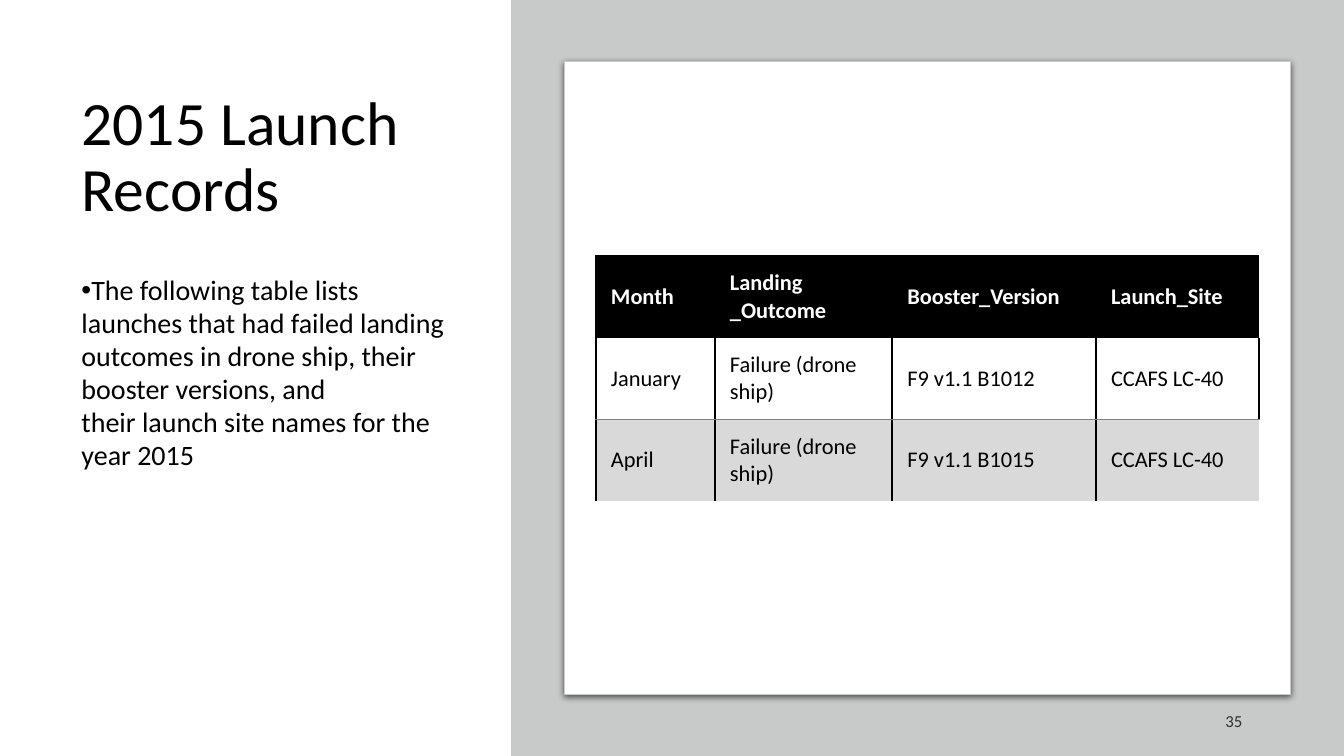
from dataclasses import dataclass

from lxml import etree
from pptx import Presentation
from pptx.dml.color import RGBColor
from pptx.enum.shapes import MSO_SHAPE
from pptx.enum.text import MSO_ANCHOR, PP_ALIGN
from pptx.oxml.ns import qn
from pptx.util import Inches, Pt

RECT, ROUND = MSO_SHAPE.RECTANGLE, MSO_SHAPE.ROUNDED_RECTANGLE
TOP, MIDDLE = MSO_ANCHOR.TOP, MSO_ANCHOR.MIDDLE
LEFT, RIGHT = PP_ALIGN.LEFT, PP_ALIGN.RIGHT
WIDE, HIGH = 13.33, 7.5


@dataclass(frozen=True)
class Theme:
    font: str = "Calibri"
    ink: str = "000000"
    paper: str = "FFFFFF"
    panel: str = "C8CACA"
    band: str = "D9D9D9"
    rule: str = "808080"
    number: str = "303030"
    title: int = 44
    body: int = 20
    cell: int = 16
    small: int = 12


THEME = Theme()
THICK, THIN = (THEME.ink, 1.5), (THEME.rule, 0.5)

COLUMNS = (1.18, 1.76, 2.02, 1.62)
ROW = 0.81
RECORDS = (
    ("Month", "Landing _Outcome", "Booster_Version", "Launch_Site"),
    ("January", "Failure (drone ship)", "F9 v1.1 B1012", "CCAFS LC-40"),
    ("April", "Failure (drone ship)", "F9 v1.1 B1015", "CCAFS LC-40"),
)
SUMMARY = ("The following table lists launches that had failed\u00a0landing "
           "outcomes in drone ship, their booster versions, and "
           "their\u00a0launch site names for the year 2015")


def style(para, size, color, bold=False):
    font = para.font
    font.name, font.size, font.bold = THEME.font, Pt(size), bold
    font.color.rgb = RGBColor.from_string(color)


def add_text(slide, box, text, size, color=THEME.ink, anchor=MIDDLE,
             align=LEFT, spacing=None, bullet=False):
    frame = slide.shapes.add_textbox(*map(Inches, box)).text_frame
    frame.word_wrap = True
    frame.vertical_anchor = anchor
    para = frame.paragraphs[0]
    para.text = text
    para.alignment = align
    if spacing:
        para.line_spacing = spacing
    if bullet:
        props = para._p.get_or_add_pPr()
        props.set("marL", "0")
        props.set("indent", "0")
        etree.SubElement(props, qn("a:buFont"), typeface="Arial")
        etree.SubElement(props, qn("a:buChar"), char="•")
    style(para, size, color)


def add_block(slide, kind, box, fill):
    block = slide.shapes.add_shape(kind, *map(Inches, box))
    block.shadow.inherit = False
    block.fill.solid()
    block.fill.fore_color.rgb = RGBColor.from_string(fill)
    block.line.fill.background()
    return block


def add_card(slide, box):
    card = add_block(slide, ROUND, box, THEME.paper)
    card.adjustments[0] = 0
    card.line.color.rgb = RGBColor.from_string(THEME.panel)
    card.line.width = Pt(0.75)
    effects = card._element.spPr.find(qn("a:effectLst"))
    shadow = etree.SubElement(
        effects, qn("a:outerShdw"), blurRad=str(Pt(4.5)), dist=str(Pt(1.5)),
        dir="5400000", algn="ctr", rotWithShape="0")
    color = etree.SubElement(shadow, qn("a:srgbClr"), val=THEME.ink)
    etree.SubElement(color, qn("a:alpha"), val="63000")


def set_edges(cell, edges):
    """Draw the left, right, top and bottom edges; None leaves one bare."""
    props = cell._tc.get_or_add_tcPr()
    for spot, (side, edge) in enumerate(zip("LRTB", edges)):
        line = etree.Element(qn(f"a:ln{side}"))
        props.insert(spot, line)
        if edge:
            color, width = edge
            line.set("w", str(Pt(width)))
            fill = etree.SubElement(line, qn("a:solidFill"))
            etree.SubElement(fill, qn("a:srgbClr"), val=color)
        else:
            etree.SubElement(line, qn("a:noFill"))


def add_records(slide, left, top):
    rows, cols = len(RECORDS), len(COLUMNS)
    box = (left, top, sum(COLUMNS), ROW * rows)
    table = slide.shapes.add_table(rows, cols, *map(Inches, box)).table
    table.horz_banding = False
    for col, width in zip(table.columns, COLUMNS):
        col.width = Inches(width)
    fills = (THEME.ink, None, THEME.band)
    tops = (THICK, None, THIN)
    lows = (None, THIN, None)
    for r, record in enumerate(RECORDS):
        table.rows[r].height = Inches(ROW)
        head = r == 0
        for c, text in enumerate(record):
            cell = table.cell(r, c)
            cell.text = text
            cell.vertical_anchor = MIDDLE
            cell.margin_left, cell.margin_right = Inches(0.15), Inches(0.09)
            cell.margin_top = cell.margin_bottom = Inches(0.11)
            style(cell.text_frame.paragraphs[0], THEME.cell,
                  THEME.paper if head else THEME.ink, head)
            if fills[r]:
                cell.fill.solid()
                cell.fill.fore_color.rgb = RGBColor.from_string(fills[r])
            else:
                cell.fill.background()
            bare = c == cols - 1 and r != 1
            set_edges(cell, (THICK, None if bare else THICK,
                             tops[r], lows[r]))


def add_intro(slide, left, top, width):
    add_text(slide, (left, top, width, 1.77), "2015 Launch Records",
             THEME.title, spacing=0.9)
    add_text(slide, (left, top + 1.98, width, 4.14), SUMMARY,
             THEME.body, anchor=TOP, spacing=0.98, bullet=True)


def add_panel(slide, left):
    add_block(slide, RECT, (left, 0, WIDE - left, HIGH), THEME.panel)
    add_card(slide, (left + 0.53, 0.61, 7.2, 6.28))
    add_text(slide, (left + 4.35, 6.95, 3, 0.4), "35", THEME.small,
             THEME.number, align=RIGHT)
    add_records(slide, left + 0.84, 2.54)


def main():
    deck = Presentation()
    deck.slide_width, deck.slide_height = Inches(WIDE), Inches(HIGH)
    slide = deck.slides.add_slide(deck.slide_layouts[6])
    add_intro(slide, 0.71, 0.69, 3.83)
    add_panel(slide, 5.07)
    deck.save("out.pptx")


if __name__ == "__main__":
    main()
